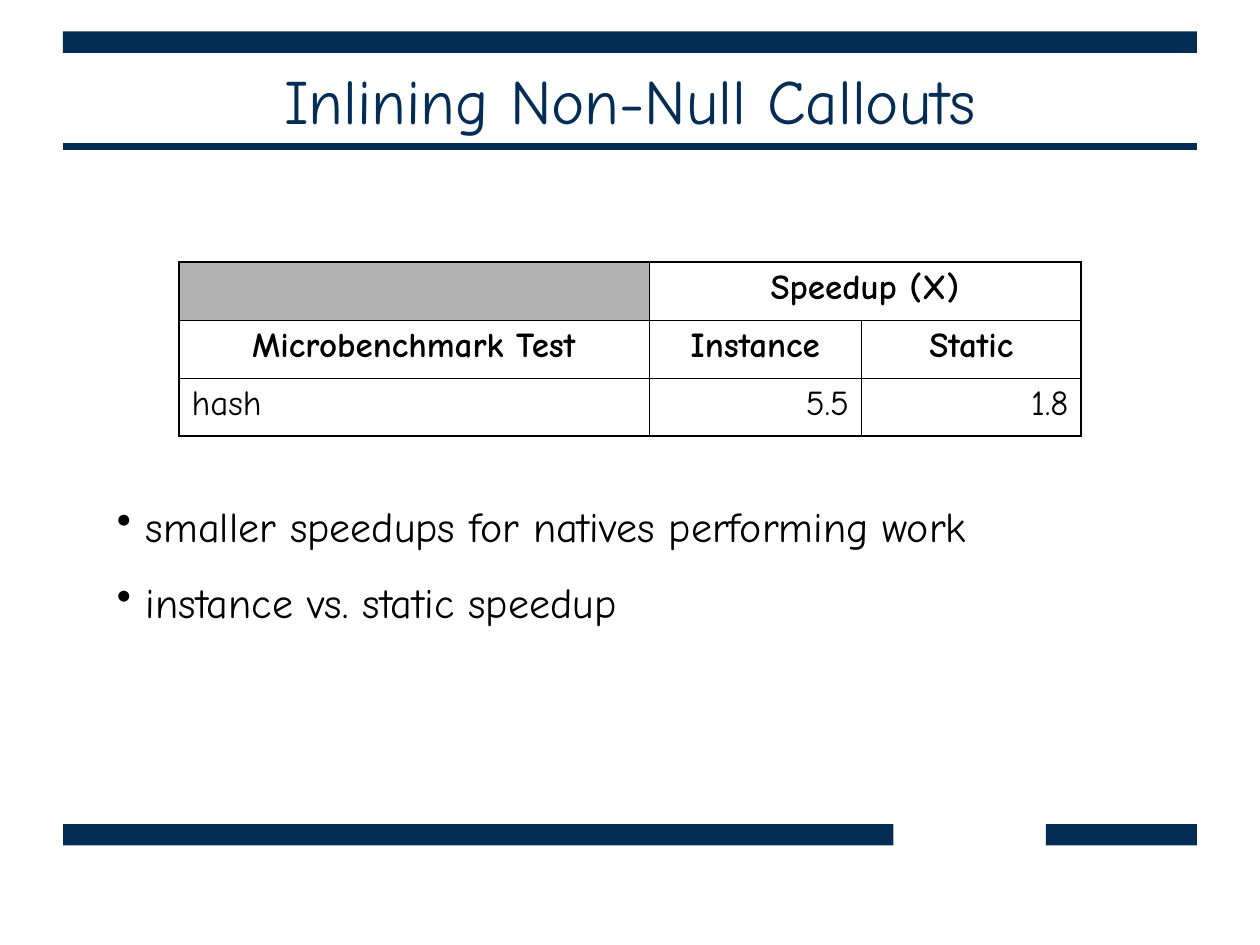
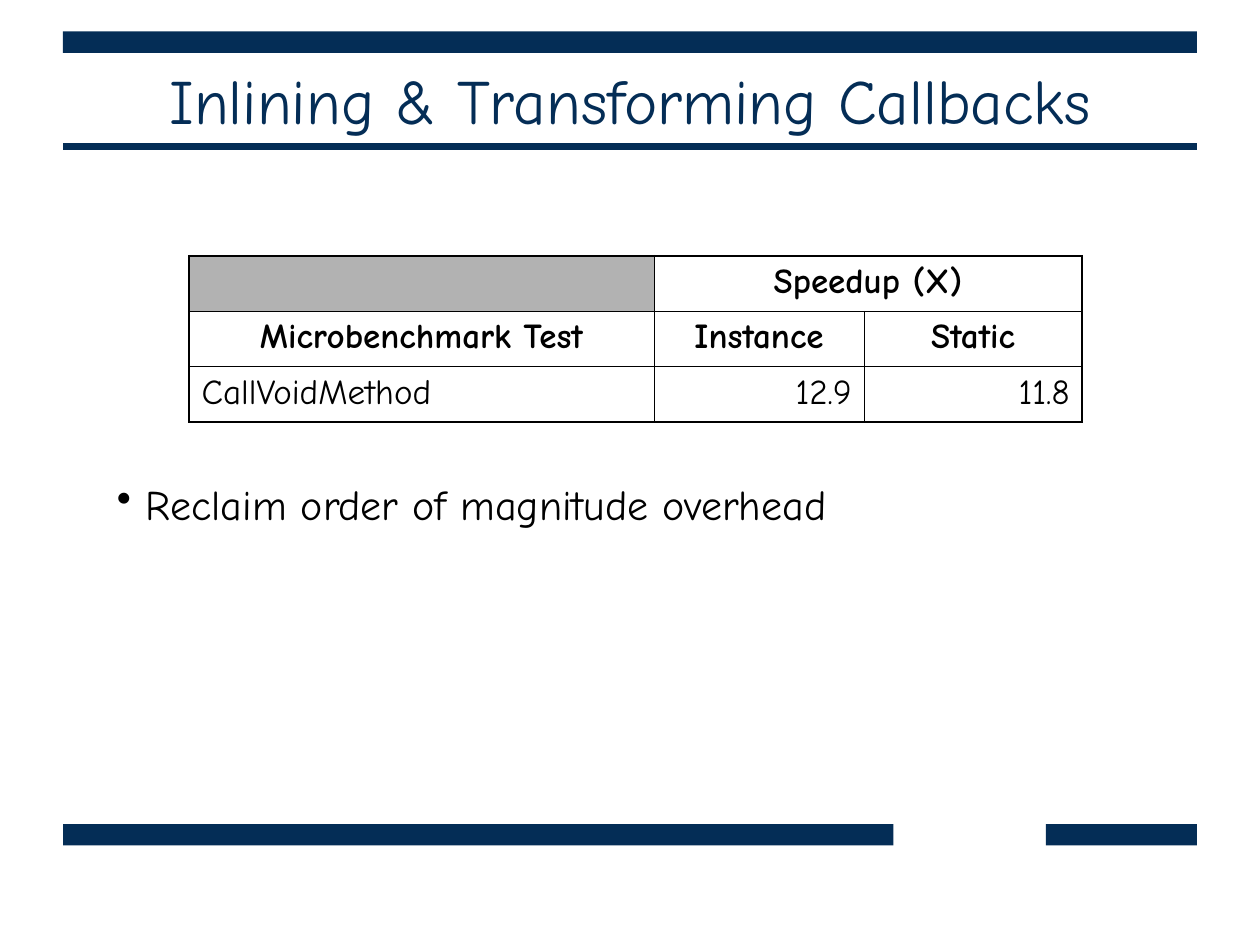
"""Builds two slides on microbenchmark speedups, each with a table and bullets."""
from lxml import etree
from pptx import Presentation
from pptx.dml.color import RGBColor
from pptx.enum.shapes import MSO_CONNECTOR, MSO_SHAPE
from pptx.enum.text import MSO_ANCHOR, PP_ALIGN
from pptx.oxml.ns import qn
from pptx.util import Inches, Pt

SLIDES = [
    {
        "title": "Inlining Non-Null Callouts",
        "result": ["hash", "5.5", "1.8"],
        "table_at": (1.42, 2.08),
        "cols": [3.73, 1.69, 1.74],
        "row_height": 0.46,
        "bullets": ["smaller speedups for natives performing work",
                    "instance vs. static speedup"],
        "bullets_at": (3.92, 1.11),
    },
    {
        "title": "Inlining & Transforming Callbacks",
        "result": ["CallVoidMethod", "12.9", "11.8"],
        "table_at": (1.5, 2.03),
        "cols": [3.69, 1.67, 1.73],
        "row_height": 0.44,
        "bullets": ["Reclaim order of magnitude overhead"],
        "bullets_at": (3.75, 0.5),
    },
]
HEADERS = [["", "Speedup (X)", ""], ["Microbenchmark Test", "Instance", "Static"]]

FONT = "Comic Neue"
NAVY, BLACK, WHITE, GRAY = "042D56", "000000", "FFFFFF", "B2B2B2"
MARGIN, WIDTH, RULE_Y = 0.5, 9, 1.16
BAND_HEIGHT = 0.17
BANDS = [(MARGIN, 0.25, WIDTH), (MARGIN, 6.54, 6.59), (8.3, 6.54, 1.2)]
OUTER, INNER = 1.08, 0.45
BULLET_INDENT = 0.23


def rgb(color):
    return RGBColor.from_string(color)


def format_text(p, size, color, bold=False, align=PP_ALIGN.LEFT):
    p.alignment = align
    for r in p.runs:
        r.font.name, r.font.size, r.font.bold = FONT, Pt(size), bold
        r.font.color.rgb = rgb(color)


def add_text(s, left, top, width, height):
    tf = s.shapes.add_textbox(*map(Inches, (left, top, width, height))).text_frame
    tf.word_wrap = True
    return tf


def add_frame(s, title):
    rule = s.shapes.add_connector(MSO_CONNECTOR.STRAIGHT, Inches(MARGIN), Inches(RULE_Y),
                                  Inches(MARGIN + WIDTH), Inches(RULE_Y))
    rule.line.color.rgb, rule.line.width = rgb(NAVY), Pt(4)
    etree.SubElement(rule._element.spPr, qn("a:effectLst"))
    for left, top, width in BANDS:
        sp = s.shapes.add_shape(MSO_SHAPE.RECTANGLE,
                                *map(Inches, (left, top, width, BAND_HEIGHT)))
        sp.shadow.inherit = False
        sp.fill.solid()
        sp.fill.fore_color.rgb = rgb(NAVY)
        sp.line.fill.background()
    tf = add_text(s, 0.75, 0.41, 8.5, 0.75)
    tf.vertical_anchor = MSO_ANCHOR.MIDDLE
    tf.text = title
    format_text(tf.paragraphs[0], 36, NAVY, align=PP_ALIGN.CENTER)


def set_borders(cell, widths):
    tcPr = cell._tc.get_or_add_tcPr()
    for side, width in zip("LRTB", widths):
        ln = etree.SubElement(tcPr, qn(f"a:ln{side}"), w=str(Pt(width)))
        fill = etree.SubElement(ln, qn("a:solidFill"))
        etree.SubElement(fill, qn("a:srgbClr"), val=BLACK)


def add_speedup_table(s, slide):
    rows = HEADERS + [slide["result"]]
    cols, height = slide["cols"], slide["row_height"]
    left, top = slide["table_at"]
    table = s.shapes.add_table(len(rows), len(cols), Inches(left), Inches(top),
                               Inches(sum(cols)), Inches(height * len(rows))).table
    table.first_row = table.horz_banding = False
    for column, width in zip(table.columns, cols):
        column.width = Inches(width)
    for row in table.rows:
        row.height = Inches(height)
    table.cell(0, 1).merge(table.cell(0, 2))
    for i, row in enumerate(rows):
        header = i < len(HEADERS)
        for j, text in enumerate(row):
            cell = table.cell(i, j)
            on_edge = (j == 0, j + cell.span_width >= len(cols),
                       i == 0, i == len(rows) - 1)
            set_borders(cell, [OUTER if edge else INNER for edge in on_edge])
            cell.fill.solid()
            cell.fill.fore_color.rgb = rgb(GRAY if i == j == 0 else WHITE)
            if text:
                cell.text_frame.text = text
                align = (PP_ALIGN.CENTER if header
                         else PP_ALIGN.RIGHT if j else PP_ALIGN.LEFT)
                format_text(cell.text_frame.paragraphs[0], 20, BLACK, header, align)


def add_bullets(s, bullets, top, height):
    tf = add_text(s, 0.83, top, 8.08, height)
    for i, text in enumerate(bullets):
        p = tf.add_paragraph() if i else tf.paragraphs[0]
        p.text = text
        pPr = p._p.get_or_add_pPr()
        pPr.set("marL", str(Inches(BULLET_INDENT)))
        pPr.set("indent", str(-Inches(BULLET_INDENT)))
        etree.SubElement(pPr, qn("a:buChar"), char="•")
        if i:
            p.space_before = Pt(15)
        format_text(p, 24, BLACK)


def main():
    prs = Presentation()
    prs.slide_width, prs.slide_height = Inches(10), Inches(7.5)
    for slide in SLIDES:
        s = prs.slides.add_slide(prs.slide_layouts[6])
        add_frame(s, slide["title"])
        add_speedup_table(s, slide)
        add_bullets(s, slide["bullets"], *slide["bullets_at"])
    prs.save("out.pptx")


if __name__ == "__main__":
    main()
